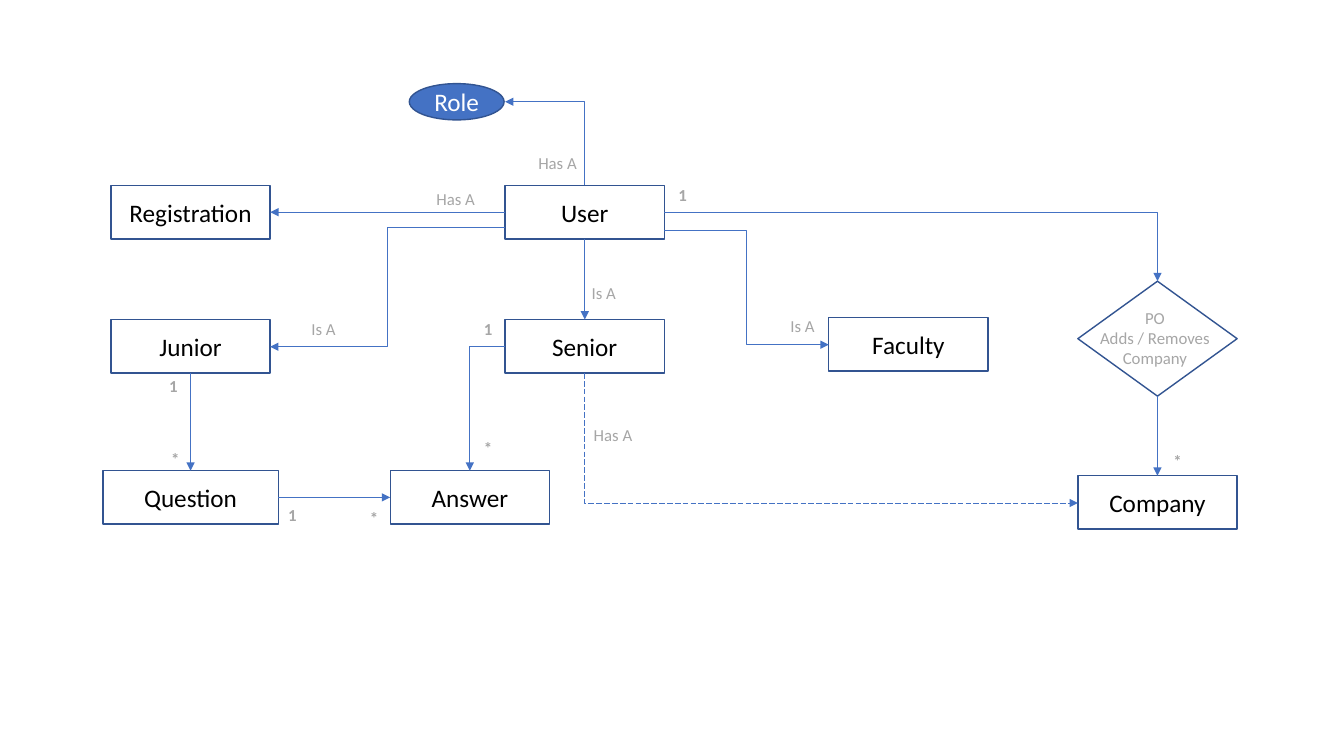
"""Build the user, question and company relationship diagram slide."""
from lxml.etree import SubElement
from pptx import Presentation
from pptx.dml.color import RGBColor
from pptx.enum.dml import MSO_LINE
from pptx.enum.shapes import MSO_CONNECTOR as LINK, MSO_SHAPE as SHAPE
from pptx.enum.text import MSO_ANCHOR, MSO_AUTO_SIZE, PP_ALIGN
from pptx.oxml.ns import qn
from pptx.util import Inches, Pt

BLUE = RGBColor(0x44, 0x72, 0xC4)
OUTLINE = RGBColor(0x32, 0x54, 0x91)
GREY = RGBColor(0xA6, 0xA6, 0xA6)
BLACK = RGBColor(0, 0, 0)
WHITE = RGBColor(0xFF, 0xFF, 0xFF)


def write(shape, text, size=12, color=GREY, bold=False, align=PP_ALIGN.LEFT):
    frame = shape.text_frame
    frame.word_wrap = True
    frame.text = text
    for para in frame.paragraphs:
        para.alignment = align
        for span in para.runs:
            span.font.name = "Calibri"
            span.font.size = Pt(size)
            span.font.bold = bold
            span.font.color.rgb = color


def add_arrow(kind, x1, y1, x2, y2):
    arrow = page.shapes.add_connector(
        kind, Inches(x1), Inches(y1), Inches(x2), Inches(y2))
    arrow.line.color.rgb = BLUE
    arrow.line.width = Pt(0.5)
    SubElement(arrow.line._get_or_add_ln(), qn("a:tailEnd"), type="triangle")
    SubElement(arrow._element.spPr, qn("a:effectLst"))
    return arrow


deck = Presentation()
deck.slide_width = Inches(13.33)
deck.slide_height = Inches(7.5)
page = deck.slides.add_slide(deck.slide_layouts[6])

nodes = {}
for name, kind, left, top, width, height in [
    ("User", SHAPE.RECTANGLE, 5.01, 1.84, 1.58, 0.53),
    ("Role", SHAPE.OVAL, 4.06, 0.83, 0.94, 0.36),
    ("Junior", SHAPE.RECTANGLE, 1.1, 3.17, 1.58, 0.53),
    ("Senior", SHAPE.RECTANGLE, 5.01, 3.17, 1.58, 0.53),
    ("Faculty", SHAPE.RECTANGLE, 8.22, 3.15, 1.58, 0.53),
    ("Company", SHAPE.RECTANGLE, 10.69, 4.72, 1.58, 0.53),
    ("Registration", SHAPE.RECTANGLE, 1.1, 1.84, 1.58, 0.53),
    ("Question", SHAPE.RECTANGLE, 1.02, 4.67, 1.74, 0.53),
    ("Answer", SHAPE.RECTANGLE, 3.87, 4.67, 1.58, 0.53),
    ("Decision", SHAPE.DIAMOND, 10.69, 2.79, 1.58, 1.14),
]:
    node = page.shapes.add_shape(
        kind, Inches(left), Inches(top), Inches(width), Inches(height))
    node.shadow.inherit = False
    node.line.color.rgb = OUTLINE
    node.line.width = Pt(1)
    if kind == SHAPE.OVAL:
        node.fill.solid()
        node.fill.fore_color.rgb = BLUE
    else:
        node.fill.background()
    if kind != SHAPE.DIAMOND:
        node.text_frame.vertical_anchor = MSO_ANCHOR.MIDDLE
        write(node, name, size=18, align=PP_ALIGN.CENTER,
              color=WHITE if kind == SHAPE.OVAL else BLACK)
    nodes[name] = node

for source, source_side, target, target_side in [
    ("User", 1, "Registration", 3),
    ("User", 2, "Senior", 0),
    ("Junior", 2, "Question", 0),
    ("Question", 3, "Answer", 1),
    ("Decision", 2, "Company", 0),
]:
    arrow = add_arrow(LINK.STRAIGHT, 0, 0, 1, 1)
    arrow.begin_connect(nodes[source], source_side)
    arrow.end_connect(nodes[target], target_side)

for ends in [(5.01, 2.26, 2.68, 3.44), (6.59, 2.29, 8.22, 3.42)]:
    add_arrow(LINK.ELBOW, *ends)

for x1, y1, x2, y2, vertical_first, dashed in [
    (5.8, 1.84, 5.01, 1.01, True, False),
    (5.8, 3.7, 10.69, 4.99, True, True),
    (5.01, 3.44, 4.66, 4.67, False, False),
    (6.59, 2.11, 11.48, 2.79, False, False),
]:
    ends = (x1, y1, x2, y2)
    if vertical_first:
        mid_x, mid_y = (x1 + x2) / 2, (y1 + y2) / 2
        half_x, half_y = (y1 - y2) / 2, (x2 - x1) / 2
        ends = (mid_x - half_x, mid_y - half_y, mid_x + half_x, mid_y + half_y)
    corner = add_arrow(LINK.ELBOW, *ends)
    properties = corner._element.spPr
    properties.find(qn("a:prstGeom")).set("prst", "bentConnector2")
    if vertical_first:
        properties.find(qn("a:xfrm")).set("rot", str(270 * 60000))
    if dashed:
        corner.line.dash_style = MSO_LINE.LONG_DASH

for text, left, top in [
    ("Has A", 5.24, 1.47), ("Has A", 4.23, 1.82), ("Has A", 5.79, 4.16),
    ("Is A", 5.77, 2.76), ("Is A", 7.74, 3.08), ("Is A", 2.99, 3.11),
    ("1", 1.58, 3.68), ("*", 1.6, 4.4),
    ("1", 2.76, 4.96), ("*", 3.57, 4.99),
    ("1", 4.7, 3.11), ("*", 4.7, 4.29),
    ("1", 6.63, 1.78), ("*", 11.54, 4.42),
]:
    label = page.shapes.add_textbox(
        Inches(left), Inches(top), Inches(0.85), Inches(0.3))
    label.text_frame.auto_size = MSO_AUTO_SIZE.SHAPE_TO_FIT_TEXT
    write(label, text, bold=text in "1*")

decision_label = page.shapes.add_textbox(
    Inches(10.73), Inches(3), Inches(1.45), Inches(0.91))
write(decision_label, "PO\nAdds / Removes Company", align=PP_ALIGN.CENTER)

deck.save("out.pptx")
